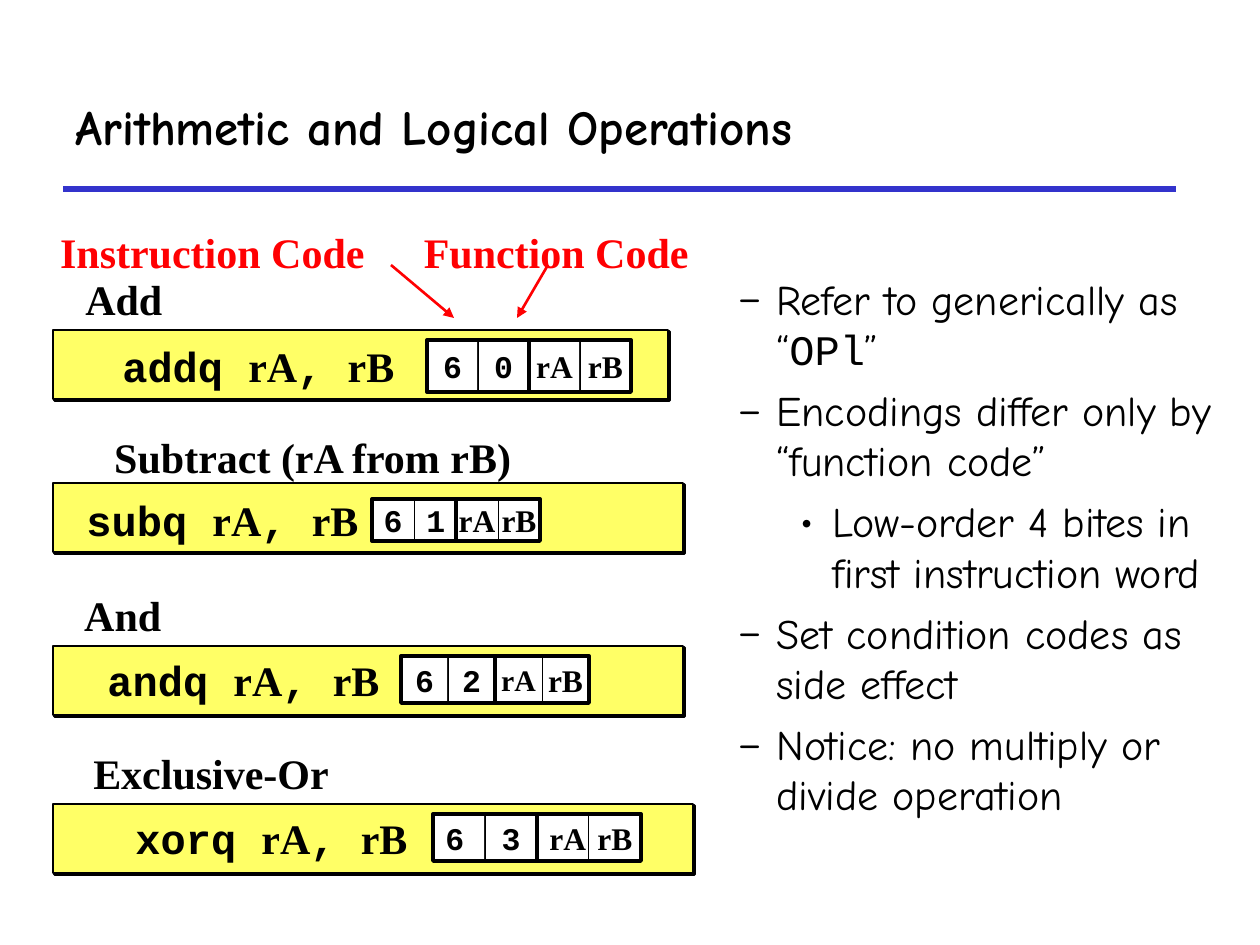
from pptx import Presentation
from pptx.dml.color import RGBColor
from pptx.enum.shapes import MSO_CONNECTOR, MSO_SHAPE
from pptx.enum.text import MSO_ANCHOR, MSO_AUTO_SIZE, PP_ALIGN
from pptx.oxml.ns import qn
from pptx.util import Emu, Pt
from lxml.etree import SubElement

COLORS = {"ink": "000000", "rule": "3333CC", "bar": "FFFF66", "cell": "FFFFFF", "red": "FF0002"}
COMIC, MONO, SERIF = "Comic Neue", "Courier New", "Times New Roman"
ALIGN = {"l": PP_ALIGN.LEFT, "c": PP_ALIGN.CENTER, "r": PP_ALIGN.RIGHT}
SCALE = 914400 / 126
INSET = 6.3

TITLE = "Arithmetic and Logical Operations"
POINTS = [
    (1, [("Refer to generically as “", COMIC), ("OPl", MONO), ("”", COMIC)]),
    (1, [("Encodings differ only by “function code”", COMIC)]),
    (2, [("Low-order 4 bites in first instruction word", COMIC)]),
    (1, [("Set condition codes as side effect", COMIC)]),
    (1, [("Notice: no multiply or divide operation", COMIC)]),
]
LEVELS = {1: ("–", 102, -39), 2: ("•", 158, -32)}
LABELS = [
    ("Add", 79, 267, 91, "l", "ink"),
    ("Subtract (rA from rB)", 108, 425, 413, "l", "ink"),
    ("And", 78, 583, 91, "l", "ink"),
    ("Exclusive-Or", 87, 741, 249, "l", "ink"),
    ("Instruction Code", 53, 220, 318, "r", "red"),
    ("Function Code", 417, 220, 278, "r", "red"),
]
ARROWS = [(391, 265, 454, 318), (548, 265, 517, 318)]
ROWS = [
    dict(op="addq", code="0", bar=(330, 615), text=(110, "l"),
         cells=(427, 340, 51, 52), align="cccc", sizes=(18, 18, 18, 18)),
    dict(op="subq", code="1", bar=(483, 630), text=(74, "l"),
         cells=(372, 499, 42, 42), align="clcc", sizes=(18, 18, 18, 18)),
    dict(op="andq", code="2", bar=(646, 630), text=(95, "l"),
         cells=(401, 656, 47, 47), align="cccc", sizes=(18, 18, 17, 18)),
    dict(op="xorq", code="3", bar=(804, 640), text=(110, "c"),
         cells=(433, 814, 52, 47), align="lclc", sizes=(18, 18, 18, 18)),
]


def px(n):
    return Emu(round(n * SCALE))


def rgb(name):
    return RGBColor.from_string(COLORS[name])


def put(item, **vals):
    for key, val in vals.items():
        setattr(item, key, val)


def write(para, runs, size, color="ink", bold=True):
    for text, font in runs:
        run = para.add_run()
        run.text = text
        put(run.font, name=font, size=Pt(size), bold=bold)
        run.font.color.rgb = rgb(color)


def frame(shape, side=12.6, **vals):
    base = dict(margin_left=px(side), margin_right=px(side),
                margin_top=px(INSET), margin_bottom=px(INSET), word_wrap=False)
    put(shape.text_frame, **{**base, **vals})
    return shape.text_frame


def rect(slide, box, fill, width):
    shape = slide.shapes.add_shape(MSO_SHAPE.RECTANGLE, *map(px, box))
    shape.shadow.inherit = False
    if fill:
        shape.fill.solid()
        shape.fill.fore_color.rgb = rgb(fill)
    else:
        shape.fill.background()
    shape.line.color.rgb = rgb("ink")
    shape.line.width = Pt(width)
    return shape


def shade(shape):
    host = shape._element.spPr.find(qn("a:effectLst"))
    drop = SubElement(host, qn("a:outerShdw"), dist=str(Pt(1.4)), dir="2700000",
                      algn="ctr", rotWithShape="0")
    SubElement(drop, qn("a:srgbClr"), val=COLORS["ink"])


def line(slide, ends, color, width, head=False):
    link = slide.shapes.add_connector(MSO_CONNECTOR.STRAIGHT, *map(px, ends))
    link.line.color.rgb = rgb(color)
    link.line.width = Pt(width)
    if head:
        SubElement(link.line._get_or_add_ln(), qn("a:tailEnd"), type="triangle")
    SubElement(link._element.spPr, qn("a:effectLst"))


def bullet(para, level):
    mark, left, indent = LEVELS[level]
    props = para._p.get_or_add_pPr()
    props.set("marL", str(px(left)))
    props.set("indent", str(px(indent)))
    tint = SubElement(props, qn("a:buClr"))
    SubElement(tint, qn("a:srgbClr"), val=COLORS["ink"])
    SubElement(props, qn("a:buFont"), typeface=COMIC)
    SubElement(props, qn("a:buChar"), char=mark)
    put(para.font, name=COMIC, size=Pt(24))


def points(slide):
    box = slide.shapes.add_textbox(*map(px, (662, 267, 586, 636)))
    body = frame(box, word_wrap=True)
    for i, (level, runs) in enumerate(POINTS):
        para = body.add_paragraph() if i else body.paragraphs[0]
        put(para, level=level, space_before=Pt(6 if i else 0))
        bullet(para, level)
        write(para, runs, 24, bold=False)


def row(slide, op, code, bar, text, cells, align, sizes):
    top, wide = bar
    shade(rect(slide, (53, top, wide, 69), "bar", 1.5))
    x, y, w, h = cells
    left, side = text
    box = slide.shapes.add_textbox(*map(px, (left, y, x - left, h)))
    para = frame(box, vertical_anchor=MSO_ANCHOR.MIDDLE).paragraphs[0]
    para.alignment = ALIGN[side]
    write(para, [(op + " ", MONO), ("rA", SERIF), (", ", MONO), ("rB", SERIF)], 24)
    parts = [("6", MONO), (code, MONO), ("rA", SERIF), ("rB", SERIF)]
    for i, (part, side, size) in enumerate(zip(parts, align, sizes)):
        cell = rect(slide, (x + i * w, y, w, h), "cell", 0.5)
        para = frame(cell, vertical_anchor=MSO_ANCHOR.MIDDLE).paragraphs[0]
        para.alignment = ALIGN[side]
        write(para, [part], size)
        if i % 2:
            rect(slide, (x + (i - 1) * w, y, 2 * w, h), None, 2.25)


def main():
    deck = Presentation()
    put(deck, slide_width=px(1260), slide_height=px(945))
    slide = deck.slides.add_slide(deck.slide_layouts[6])
    line(slide, (63, 189, 1176, 189), "rule", 3)
    box = slide.shapes.add_textbox(*map(px, (63, 63, 1113, 126)))
    head = frame(box, word_wrap=True, vertical_anchor=MSO_ANCHOR.MIDDLE)
    write(head.paragraphs[0], [(TITLE, COMIC)], 28)
    points(slide)
    for item in ROWS:
        row(slide, **item)
    for text, x, y, w, side, color in LABELS:
        box = slide.shapes.add_textbox(*map(px, (x, y, w, 64)))
        para = frame(box, INSET, auto_size=MSO_AUTO_SIZE.SHAPE_TO_FIT_TEXT).paragraphs[0]
        para.alignment = ALIGN[side]
        write(para, [(text, SERIF)], 24, color)
    for ends in ARROWS:
        line(slide, ends, "red", 1.5, True)
    deck.save("out.pptx")


if __name__ == "__main__":
    main()
